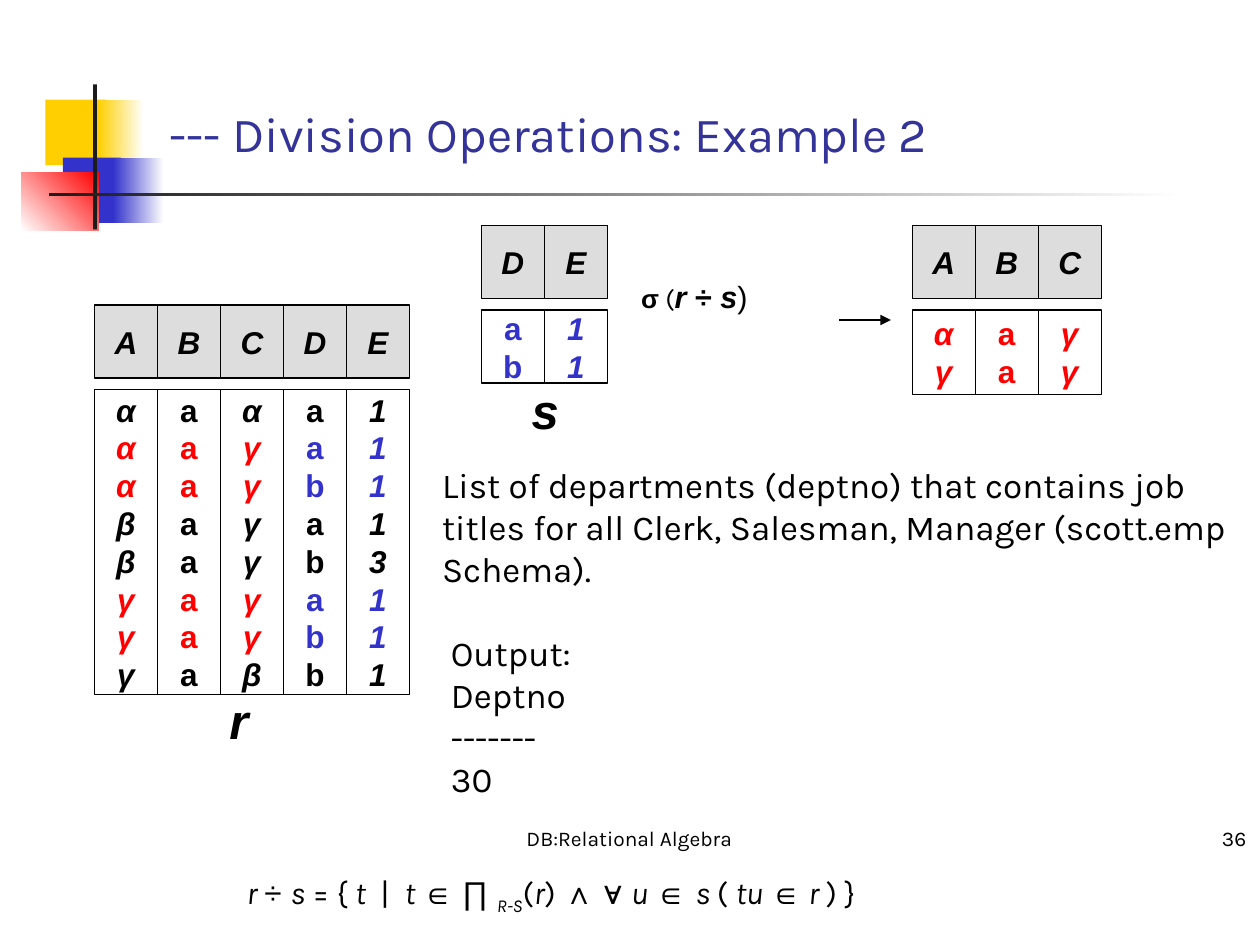
from dataclasses import dataclass

import lxml.etree
import pptx
import pptx.dml.color
import pptx.enum.shapes
import pptx.enum.text
import pptx.oxml.ns
import pptx.util
from pptx.util import Inches

COLORS = {
    "black": "000000", "white": "FFFFFF", "header": "DDDDDD", "title": "333399",
    "yellow": "FFCF01", "blue": "3333CC", "red": "FF0000", "bar": "1C1C1C",
}
ALIGN = pptx.enum.text.PP_ALIGN
ANCHOR = pptx.enum.text.MSO_ANCHOR
COLUMN_WIDTH = 0.5
HEADER_HEIGHT = 0.58
BODY_OFFSET = 0.67


@dataclass
class Block:
    left: float
    top: float
    width: float
    height: float
    colors: tuple[str, ...]
    angle: float = 0


@dataclass
class Column:
    header: str
    values: str
    highlight: str


@dataclass
class Relation:
    left: float
    top: float
    body_height: float
    columns: list[Column]
    matching_rows: tuple[int, ...]


@dataclass
class Span:
    text: str
    font: str = "Karla"
    size: float = 18
    bold: bool = False
    italic: bool = False
    baseline: int = 0


@dataclass
class Label:
    text: str
    left: float
    top: float
    width: float
    height: float
    size: float
    font: str = "Karla"
    color: str = "black"
    align: int = ALIGN.LEFT
    anchor: int = ANCHOR.BOTTOM
    emphasis: bool = False
    wrap: bool = True


BLOCKS = [
    Block(0.36, 0.79, 0.48, 0.52, ("yellow",)),
    Block(0.78, 0.79, 0.36, 0.52, ("yellow", "white")),
    Block(0.5, 1.25, 0.46, 0.52, ("blue",)),
    Block(0.9, 1.25, 0.4, 0.52, ("blue", "white")),
    Block(0.17, 1.37, 0.61, 0.46, ("white", "red"), 45),
    Block(0.74, 0.67, 0.03, 1.15, ("bar",)),
    Block(0.39, 1.53, 9, 0.03, ("bar", "white")),
]
RELATIONS = [
    Relation(0.75, 2.42, 2.42, [
        Column("A", "αααββγγγ", "red"),
        Column("B", "aaaaaaaa", "red"),
        Column("C", "αγγγγγγβ", "red"),
        Column("D", "aababab" "b", "blue"),
        Column("E", "11113111", "blue"),
    ], (1, 2, 5, 6)),
    Relation(3.82, 1.79, 0.58, [
        Column("D", "ab", "blue"), Column("E", "11", "blue"),
    ], (0, 1)),
    Relation(7.24, 1.79, 0.67, [
        Column("A", "αγ", "red"), Column("B", "aa", "red"), Column("C", "γγ", "red"),
    ], (0, 1)),
]
LABELS = [
    Label("--- Division Operations: Example 2", 1.25, 0.67, 8.52, 0.67, 28, color="title"),
    Label("DB:Relational Algebra", 3.41, 6.38, 3.17, 0.42, 12, align=ALIGN.CENTER),
    Label("36", 7.91, 6.38, 2.08, 0.42, 12, align=ALIGN.RIGHT),
    Label("r", 1.72, 5.43, 0.35, 0.57, 28, "Arial", align=ALIGN.CENTER,
          anchor=ANCHOR.MIDDLE, emphasis=True, wrap=False),
    Label("s", 4.12, 2.97, 0.41, 0.57, 28, "Arial", align=ALIGN.CENTER,
          anchor=ANCHOR.MIDDLE, emphasis=True, wrap=False),
]
SELECTION = [
    Span("σ", "Arial", 15, bold=True), Span(" (", size=15),
    Span("r ", "Arial", 17.5, True, True), Span("÷ ", "Arial", 17.5, True),
    Span("s", "Arial", 17.5, True, True), Span(")", "Arial", 17.5),
]
DEFINITION = [
    Span("r ", italic=True), Span("÷ ", "Arial"), Span("s", italic=True), Span(" = { "),
    Span("t", italic=True), Span("  |  "), Span("t ", italic=True), Span("∈ ∏ ", "Arial"),
    Span("R-S", italic=True, baseline=-25000), Span("("), Span("r", italic=True),
    Span(") "), Span("∧ ∀ ", "Arial"), Span("u ", italic=True), Span("∈ ", "Arial"),
    Span("s ", italic=True), Span("( "), Span("tu ", italic=True), Span("∈", "Arial"),
    Span(" r ", italic=True), Span(") }"),
]
TASK = ("List of departments (deptno) that contains job titles for all Clerk, "
        "Salesman, Manager (scott.emp Schema).")
OUTPUT = ["Output:", "Deptno", "-------", "30"]


def rgb(name: str) -> pptx.dml.color.RGBColor:
    return pptx.dml.color.RGBColor.from_string(COLORS[name])


def style_font(font, name: str, size: float, color="black", bold=False, italic=False) -> None:
    font.name = name
    font.size = pptx.util.Pt(size)
    font.bold = bold
    font.italic = italic
    font.color.rgb = rgb(color)


def add_rectangle(slide, block: Block):
    shape = slide.shapes.add_shape(
        pptx.enum.shapes.MSO_SHAPE.RECTANGLE, Inches(block.left), Inches(block.top),
        Inches(block.width), Inches(block.height))
    shape.shadow.inherit = False
    shape.line.fill.background()
    if len(block.colors) == 1:
        shape.fill.solid()
        shape.fill.fore_color.rgb = rgb(block.colors[0])
    else:
        shape.fill.gradient()
        shape.fill.gradient_angle = block.angle
        for stop, color in zip(shape.fill.gradient_stops, block.colors):
            stop.color.rgb = rgb(color)
    return shape


def add_cell(slide, block: Block, values: str, colors: list[str]) -> None:
    shape = add_rectangle(slide, block)
    shape.line.color.rgb = rgb("black")
    shape.line.width = pptx.util.Pt(0.75)
    frame = shape.text_frame
    frame.word_wrap = False
    frame.vertical_anchor = ANCHOR.MIDDLE
    frame.text = "\n".join(values)
    for paragraph, value, color in zip(frame.paragraphs, values, colors):
        paragraph.alignment = ALIGN.CENTER
        style_font(paragraph.font, "Arial", 18, color, True, value not in "ab")


def add_relation(slide, relation: Relation) -> None:
    for index, column in enumerate(relation.columns):
        left = relation.left + index * COLUMN_WIDTH
        header = Block(left, relation.top, COLUMN_WIDTH, HEADER_HEIGHT, ("header",))
        body = Block(left, relation.top + BODY_OFFSET, COLUMN_WIDTH,
                     relation.body_height, ("white",))
        colors = [column.highlight if row in relation.matching_rows else "black"
                  for row in range(len(column.values))]
        add_cell(slide, header, column.header, ["black"])
        add_cell(slide, body, column.values, colors)


def add_text_frame(slide, left: float, top: float, width: float, height: float):
    frame = slide.shapes.add_textbox(
        Inches(left), Inches(top), Inches(width), Inches(height)).text_frame
    frame.word_wrap = True
    return frame


def add_label(slide, label: Label) -> None:
    frame = add_text_frame(slide, label.left, label.top, label.width, label.height)
    frame.word_wrap = label.wrap
    frame.vertical_anchor = label.anchor
    frame.text = label.text
    paragraph = frame.paragraphs[0]
    paragraph.alignment = label.align
    style_font(paragraph.font, label.font, label.size, label.color,
               label.emphasis, label.emphasis)


def add_spans(paragraph, spans: list[Span]) -> None:
    for span in spans:
        run = paragraph.add_run()
        run.text = span.text
        style_font(run.font, span.font, span.size, bold=span.bold, italic=span.italic)
        if span.baseline:
            run._r.get_or_add_rPr().set("baseline", str(span.baseline))


def add_task(slide) -> None:
    frame = add_text_frame(slide, 3.41, 3.63, 6.58, 2.77)
    frame.text = "\n".join([TASK, *OUTPUT])
    for paragraph in frame.paragraphs:
        style_font(paragraph.font, "Karla", 20)
    for paragraph in frame.paragraphs[1:]:
        paragraph._p.get_or_add_pPr().set("marL", str(Inches(0.07)))
    frame.paragraphs[1].space_before = pptx.util.Pt(24)


def add_arrow(slide) -> None:
    arrow = slide.shapes.add_connector(
        pptx.enum.shapes.MSO_CONNECTOR.STRAIGHT,
        Inches(6.66), Inches(2.54), Inches(7.07), Inches(2.54))
    arrow.line.color.rgb = rgb("black")
    arrow.line.width = pptx.util.Pt(0.75)
    qualified = pptx.oxml.ns.qn
    lxml.etree.SubElement(arrow.line._get_or_add_ln(), qualified("a:tailEnd"), type="triangle")
    lxml.etree.SubElement(arrow._element.spPr, qualified("a:effectLst"))


def main() -> None:
    presentation = pptx.Presentation()
    presentation.slide_width = Inches(10)
    presentation.slide_height = Inches(7.5)
    slide = presentation.slides.add_slide(presentation.slide_layouts[6])
    for block in BLOCKS:
        add_rectangle(slide, block)
    for relation in RELATIONS:
        add_relation(slide, relation)
    for label in LABELS:
        add_label(slide, label)
    selection = add_text_frame(slide, 4.99, 2.21, 1.67, 0.42).paragraphs[0]
    selection.line_spacing = 0.8
    add_spans(selection, SELECTION)
    add_arrow(slide)
    add_task(slide)
    add_spans(add_text_frame(slide, 1.86, 6.88, 7.51, 0.44).paragraphs[0], DEFINITION)
    presentation.save("out.pptx")


if __name__ == "__main__":
    main()
